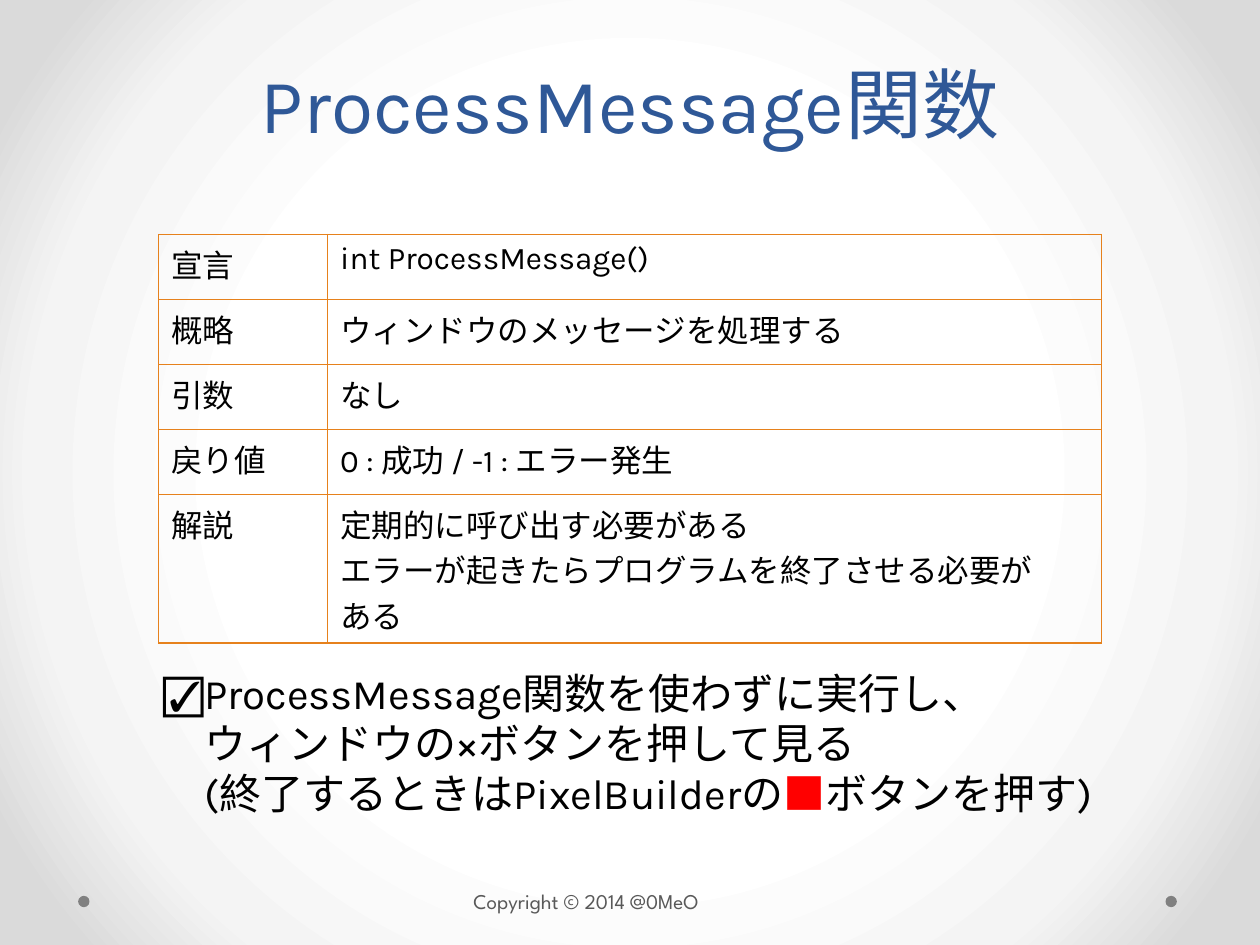
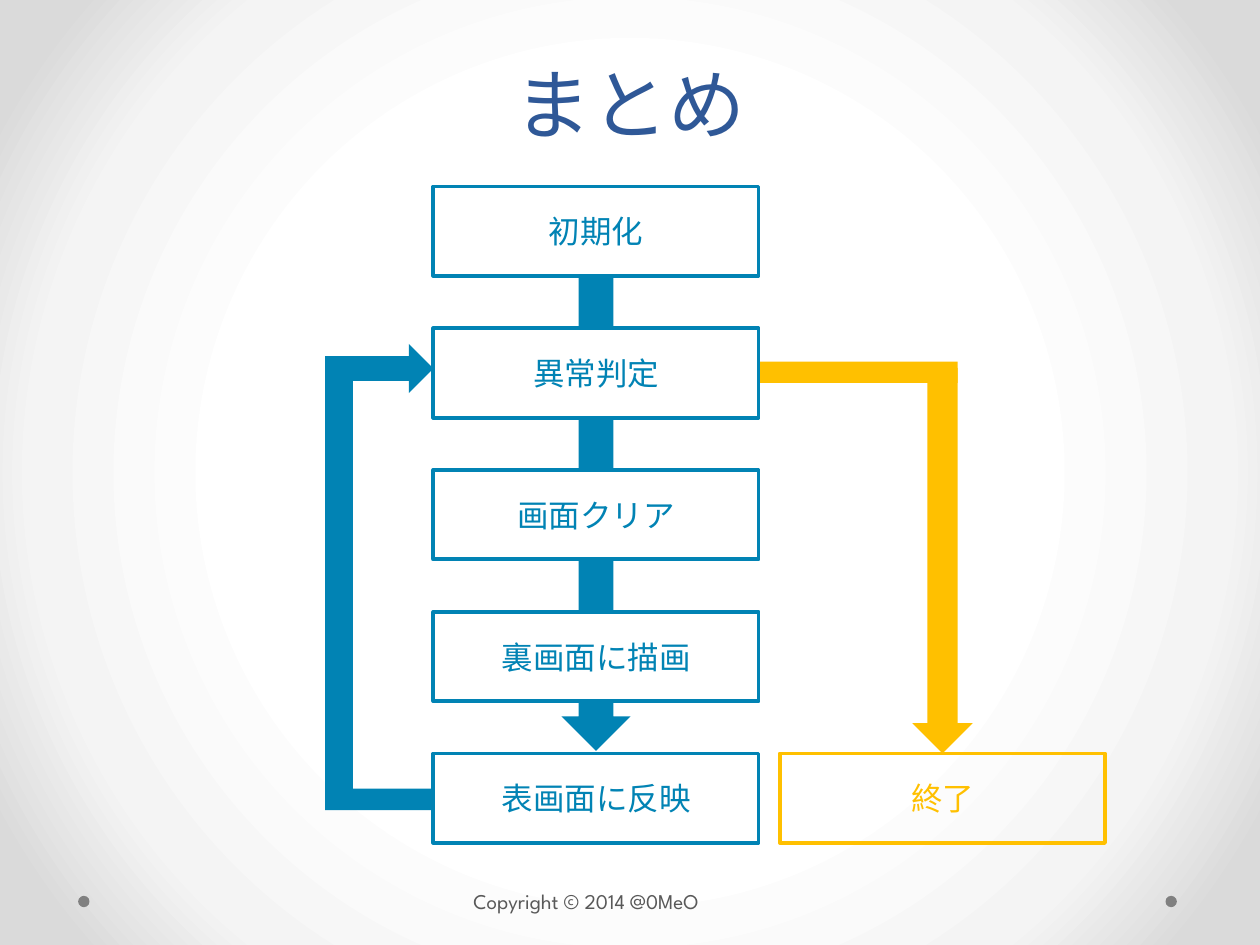
from lxml import etree
from pptx import Presentation
from pptx.dml.color import RGBColor
from pptx.enum.shapes import MSO_SHAPE
from pptx.enum.text import MSO_ANCHOR, PP_ALIGN
from pptx.oxml import parse_xml
from pptx.oxml.ns import nsdecls, qn
from pptx.util import Inches, Pt

RECTANGLE, OVAL = MSO_SHAPE.RECTANGLE, MSO_SHAPE.OVAL
DOWN_ARROW, RIGHT_ARROW = MSO_SHAPE.DOWN_ARROW, MSO_SHAPE.RIGHT_ARROW
CENTER, MIDDLE, BOTTOM = PP_ALIGN.CENTER, MSO_ANCHOR.MIDDLE, MSO_ANCHOR.BOTTOM

BODY_FONT, FOOTER_FONT = "Karla", "League Spartan"
NAVY, BLUE, AMBER, ORANGE = "2F5897", "0183B4", "FFC000", "E6811C"
BLACK, WHITE, RED = "000000", "FFFFFF", "FF0000"
DOT_GRAY, FOOTER_GRAY = "808080", "595959"
BACKDROP = [(50, WHITE), (76, "F4F4F4"), (92, "DADADA")]

# The slide is a grid of 100 columns by 75 rows of square cells.
CELL = Inches(0.1)


def style(font, color, size, name=BODY_FONT):
    """Set the colour, size and typeface of a font."""
    font.color.rgb = RGBColor.from_string(color)
    font.size = Pt(size)
    font.name = name


def add_block(slide, kind, box, fill=None, line=None, text=None):
    """Add a preset shape at (left, top, width, height) in grid cells."""
    shape = slide.shapes.add_shape(kind, *[round(n * CELL) for n in box])
    shape.shadow.inherit = False
    if fill:
        shape.fill.solid()
        shape.fill.fore_color.rgb = RGBColor.from_string(fill)
    else:
        shape.fill.background()
    if line:
        shape.line.color.rgb = RGBColor.from_string(line)
        shape.line.width = Pt(2.25)
    else:
        shape.line.fill.background()
    if text:
        shape.text_frame.vertical_anchor = MIDDLE
        paragraph = shape.text_frame.paragraphs[0]
        paragraph.text = text
        paragraph.alignment = CENTER
        style(paragraph.font, line, 18)


presentation = Presentation()
presentation.slide_width, presentation.slide_height = 100 * CELL, 75 * CELL

# Shared radial background
master = presentation.slide_master
master.background.fill.solid()
background = master.element.find(".//" + qn("p:bgPr"))
stops = "".join(f'<a:gs pos="{share * 1000}"><a:srgbClr val="{color}"/></a:gs>'
                for share, color in BACKDROP)
background.replace(background[0], parse_xml(
    f'<a:gradFill {nsdecls("a")} rotWithShape="1"><a:gsLst>{stops}</a:gsLst>'
    '<a:path path="circle"><a:fillToRect l="50000" t="50000" r="50000" b="50000"/>'
    '</a:path></a:gradFill>'))

# Shared title and footer
slides = []
for title_text in ["ProcessMessage関数", "まとめ"]:
    slide = presentation.slides.add_slide(presentation.slide_layouts[5])
    slides.append(slide)
    for dot_left in (92.5, 6.2):
        add_block(slide, OVAL, (dot_left, 71.1, 0.9, 0.9), DOT_GRAY)
    footer = slide.shapes.add_textbox(
        round(36.6 * CELL), 70 * CELL, 23 * CELL, 3 * CELL).text_frame
    footer.word_wrap = True
    footer.text = "Copyright © 2014 @0MeO"
    style(footer.paragraphs[0].font, FOOTER_GRAY, 12, FOOTER_FONT)

    title = slide.shapes.title
    title.left, title.top = 5 * CELL, round(2.4 * CELL)
    title.width, title.height = 90 * CELL, round(9.9 * CELL)
    title.text_frame.vertical_anchor = BOTTOM
    title.text_frame.text = title_text
    paragraph = title.text_frame.paragraphs[0]
    paragraph.alignment = CENTER
    paragraph.line_spacing = Pt(58)
    style(paragraph.font, NAVY, 44)

function_slide, summary_slide = slides

# Function reference table; the last row holds three lines
reference = [
    ("宣言", "int ProcessMessage()", 5.16),
    ("概略", "ウィンドウのメッセージを処理する", 5.16),
    ("引数", "なし", 5.16),
    ("戻り値", "0 : 成功 / -1 : エラー発生", 5.16),
    ("解説", "定期的に呼び出す必要がある\n"
            "エラーが起きたらプログラムを終了させる必要が\nある", 11.8),
]
table_height = sum(height for *_, height in reference)
table = function_slide.shapes.add_table(
    len(reference), 2, round(12.6 * CELL), round(18.6 * CELL),
    round(74.8 * CELL), round(table_height * CELL)).table
table.first_row = table.horz_banding = False
for column, width in zip(table.columns, (13.4, 61.4)):
    column.width = round(width * CELL)
for row, (*texts, height) in zip(table.rows, reference):
    row.height = round(height * CELL)
    for cell, text in zip(row.cells, texts):
        cell.text = text
        cell.fill.background()
        for paragraph in cell.text_frame.paragraphs:
            style(paragraph.font, BLACK, 18)
        properties = cell._tc.get_or_add_tcPr()
        for index, side in enumerate(("lnL", "lnR", "lnT", "lnB")):
            border = etree.Element(qn(f"a:{side}"), w=str(Pt(0.75)))
            border_fill = etree.SubElement(border, qn("a:solidFill"))
            etree.SubElement(border_fill, qn("a:srgbClr"), val=ORANGE)
            properties.insert(index, border)

# Exercise under the table; the later lines are indented by one character
exercise = [
    [("☑ProcessMessage関数を使わずに実行し、", BLACK)],
    [("ウィンドウの×ボタンを押して見る", BLACK)],
    [("(終了するときはPixelBuilderの", BLACK), ("■", RED), ("ボタンを押す)", BLACK)],
]
frame = function_slide.shapes.add_textbox(
    round(11.9 * CELL), round(52.5 * CELL),
    round(76.2 * CELL), round(13.1 * CELL)).text_frame
frame.word_wrap = True
frame.margin_right = 0
for number, runs in enumerate(exercise):
    paragraph = frame.add_paragraph() if number else frame.paragraphs[0]
    paragraph.line_spacing = Pt(28.6)
    if number:
        paragraph._p.get_or_add_pPr().set("indent", str(Pt(24)))
    for text, color in runs:
        run = paragraph.add_run()
        run.text = text
        style(run.font, color, 24)

# Flow chart: five equal steps, a loop on the left and an exit on the right
steps = ["初期化", "異常判定", "画面クリア", "裏画面に描画", "表画面に反映"]
box_left, box_width, box_height = 34.4, 25.8, 7.1
tops = [14.8 + 11.25 * number for number in range(len(steps))]
box_right = box_left + box_width
first_bottom = tops[0] + box_height
last_top = tops[-1]

exit_left = 61.9
exit_center = exit_left + box_width / 2
add_block(summary_slide, RECTANGLE, (box_right, 28.7, 15.8, 1.7), AMBER)
add_block(summary_slide, DOWN_ARROW,
          (box_left + box_width / 2 - 2.75, first_bottom, 5.5,
           last_top - first_bottom - 0.2), BLUE)
for top, step in zip(tops, steps):
    add_block(summary_slide, RECTANGLE, (box_left, top, box_width, box_height),
              WHITE, BLUE, step)

# The upright of the loop overlaps both of its arms
loop_left = 25.8
loop_width = box_left - loop_left
add_block(summary_slide, RECTANGLE, (loop_left, 62.6, loop_width, 1.7), BLUE)
add_block(summary_slide, RECTANGLE, (loop_left, 29.5, 2.2, 33.6), BLUE)
add_block(summary_slide, RIGHT_ARROW, (loop_left, 27.3, loop_width, 3.9), BLUE)

add_block(summary_slide, DOWN_ARROW,
          (exit_center - 2.4, 29.2, 4.8, last_top - 29.2), AMBER)
add_block(summary_slide, RECTANGLE, (exit_left, last_top, box_width, box_height),
          line=AMBER, text="終了")

presentation.save("out.pptx")
